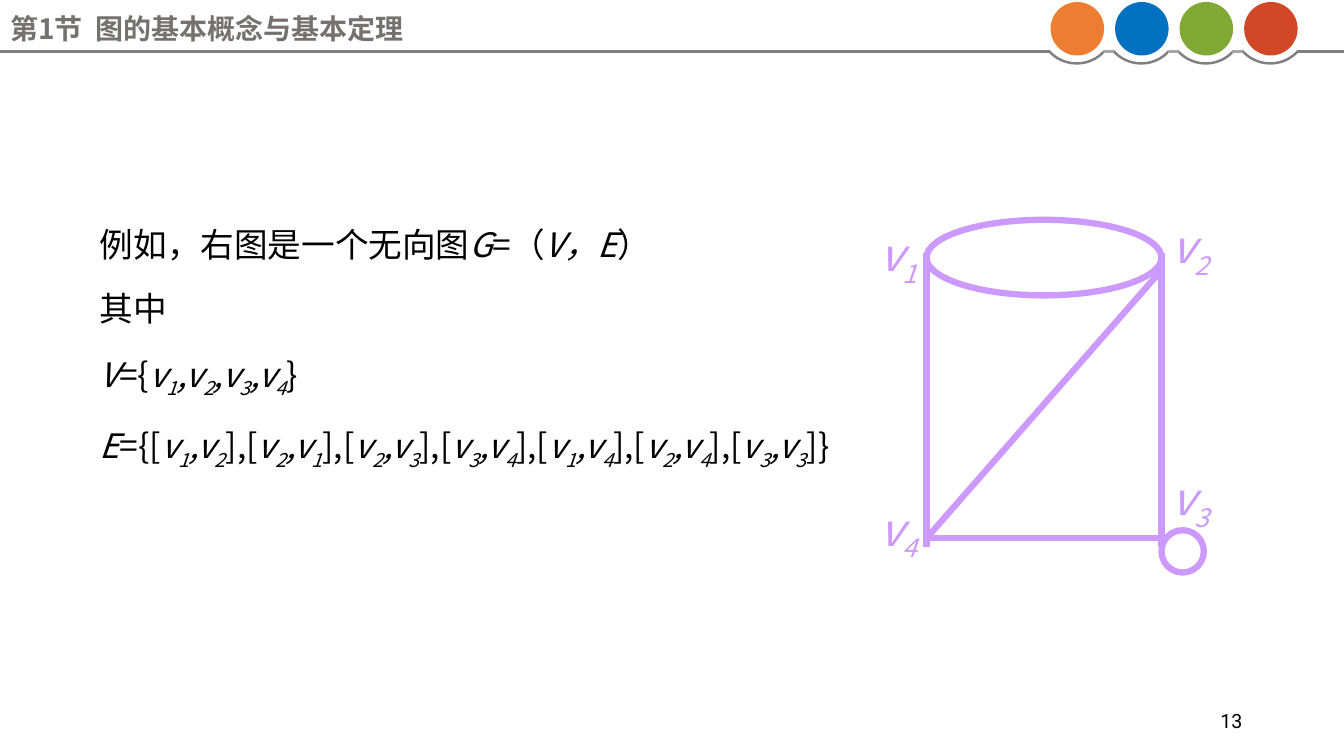
import pptx
import pptx.util
import pptx.dml.color
import pptx.enum.shapes
import pptx.enum.text
import lxml.etree

Pt = pptx.util.Pt
Shape = pptx.enum.shapes.MSO_SHAPE
Anchor = pptx.enum.text.MSO_ANCHOR
Align = pptx.enum.text.PP_ALIGN
Fit = pptx.enum.text.MSO_AUTO_SIZE
qn = pptx.oxml.ns.qn


class Theme:
    ink, title, graph = "000000", "767171", "CC99FF"
    rule, joint = "808080", "A6A6A6"
    dots = "ED7D31", "0070C0", "80A933", "D24726"
    font, digit = "Noto Sans CJK SC", "Roboto"
    head, body, label, page = 20, 24, 32, 14
    thick, thin = 4.5, 1.77


def rgb(code):
    return pptx.dml.color.RGBColor.from_string(code)


def put(para, text, size, color=Theme.ink, slant=False, low=False, font=Theme.font):
    """Add one run; low makes it a subscript."""
    run = para.add_run()
    run.text = text
    run.font.size = Pt(size)
    run.font.italic = slant
    run.font.color.rgb = rgb(color)
    run.font.name = font
    props = run.font._element
    lxml.etree.SubElement(props, qn("a:ea")).set("typeface", font)
    if low:
        props.set("baseline", "-25000")
    return run


deck = pptx.Presentation()
deck.slide_width = pptx.util.Inches(13.33)
deck.slide_height = pptx.util.Inches(7.5)
col, row = deck.slide_width / 100, deck.slide_height / 100
slide = deck.slides.add_slide(deck.slide_layouts[1])
shapes = slide.shapes
title, body = shapes.title, slide.placeholders[1]
page = shapes.add_textbox(0, 0, col, row)

# Text areas, in columns and rows
areas = [
    (title, 0, 1.33, 82.22, 4.8),
    (body, 6.68, 25.73, 60.47, 54.4),
    (page, 70.67, 92.67, 22.51, 5.33),
]
for box, x, y, w, h in areas:
    box.left, box.top = int(x * col), int(y * row)
    box.width, box.height = int(w * col), int(h * row)
    box.text_frame.word_wrap = True
    box.text_frame.auto_size = Fit.NONE
    box.text_frame.vertical_anchor = Anchor.MIDDLE

# Title and page number
title.text_frame.margin_top = title.text_frame.margin_bottom = 0
para = title.text_frame.paragraphs[0]
para.alignment = Align.LEFT
put(para, "第1节  图的基本概念与基本定理", Theme.head, Theme.title).font.bold = True
para = page.text_frame.paragraphs[0]
para.alignment = Align.RIGHT
put(para, "13", Theme.page, font=Theme.digit)

# Body: two sentences, then the vertex set and the edge set
frame = body.text_frame
frame.vertical_anchor = Anchor.TOP
frame.margin_top = Pt(13.6)
lines = [frame.paragraphs[0]] + [frame.add_paragraph() for _ in range(3)]
for num, para in enumerate(lines):
    props = para._p.get_or_add_pPr()
    props.set("marL", str(pptx.util.Inches(0.25)))
    props.set("indent", str(-pptx.util.Inches(0.25)))
    lxml.etree.SubElement(props, qn("a:buNone"))
    para.line_spacing = 1.25
    para.space_before = Pt(10 if num else 0)

for text, slant in [("例如，右图是一个无向图", False), ("G", True), ("=（", False),
                    ("V，E", True), ("）", False)]:
    put(lines[0], text, Theme.body, slant=slant)
put(lines[1], "其中", Theme.body)
edges = ["12", "21", "23", "34", "14", "24", "33"]
sets = [("V", "={", ["1234"], "}"), ("E", "={[", edges, "]}")]
for para, (name, start, groups, end) in zip(lines[2:], sets):
    put(para, name, Theme.body, slant=True)
    for num, group in enumerate(groups):
        put(para, "],[" if num else start, Theme.body)
        for spot, digit in enumerate(group):
            put(para, ",v" if spot else "v", Theme.body, slant=True)
            put(para, digit, Theme.body, slant=True, low=True)
    put(para, end, Theme.body)

# Graph and header outlines
left, right, top, base = 68.94, 86.42, 29.07, 71.2
step, level = 4.8, 6.8
ovals = [
    (Shape.OVAL, left, top, right - left, 10, None, Theme.graph, Theme.thick),
    (Shape.OVAL, right, 70.13, 3.15, 5.6, None, Theme.graph, Theme.thick),
]
bars = [
    (left, 33.47, left, 72.4, Theme.graph, Theme.thick),
    (right, 33.47, right, 72.4, Theme.graph, Theme.thick),
    (left, base, right, base, Theme.graph, Theme.thick),
    (right, 35.73, left, base, Theme.graph, Theme.thick),
    (78.09, level, 0, level, Theme.rule, Theme.thin),
    (96.47, level, 100, level, Theme.rule, Theme.thin),
]
for num, color in enumerate(Theme.dots):
    shift = num * step
    ovals.append((Shape.ARC, 77.34 + shift, -1.47, 5.55, 9.87, None, Theme.rule, Theme.thin))
    ovals.append((Shape.OVAL, 78.17 + shift, 0.27, 3.98, 7.07, color, None, 0))
    if num < len(Theme.dots) - 1:
        bars.append((82.07 + shift, level, 82.9 + shift, level, Theme.joint, Theme.thin))

for kind, x, y, w, h, fill, edge, width in ovals:
    oval = shapes.add_shape(kind, int(x * col), int(y * row), int(w * col), int(h * row))
    oval.shadow.inherit = False
    if kind == Shape.ARC:
        oval.adjustments[0], oval.adjustments[1] = 25.38, 83.6
    if fill:
        oval.fill.solid()
        oval.fill.fore_color.rgb = rgb(fill)
    else:
        oval.fill.background()
    if edge:
        oval.line.color.rgb = rgb(edge)
        oval.line.width = Pt(width)
    else:
        oval.line.fill.background()

for x, y, far, low, color, width in bars:
    bar = shapes.add_connector(pptx.enum.shapes.MSO_CONNECTOR.STRAIGHT,
                               int(x * col), int(y * row), int(far * col), int(low * row))
    bar.line.color.rgb = rgb(color)
    bar.line.width = Pt(width)
    lxml.etree.SubElement(bar._element.spPr, qn("a:effectLst"))

# Vertex labels
for digit, x, y in [("3", right, 62.4), ("2", right, top), ("1", 64.67, 30.13), ("4", 64.67, 66.4)]:
    label = shapes.add_textbox(int(x * col), int(y * row), int(4.58 * col), int(7.47 * row))
    label.text_frame.word_wrap = False
    label.text_frame.auto_size = Fit.SHAPE_TO_FIT_TEXT
    para = label.text_frame.paragraphs[0]
    para.line_spacing = 0.8
    put(para, "v", Theme.label, Theme.graph, slant=True)
    put(para, digit, Theme.label, Theme.graph, slant=True, low=True)

deck.save("out.pptx")
